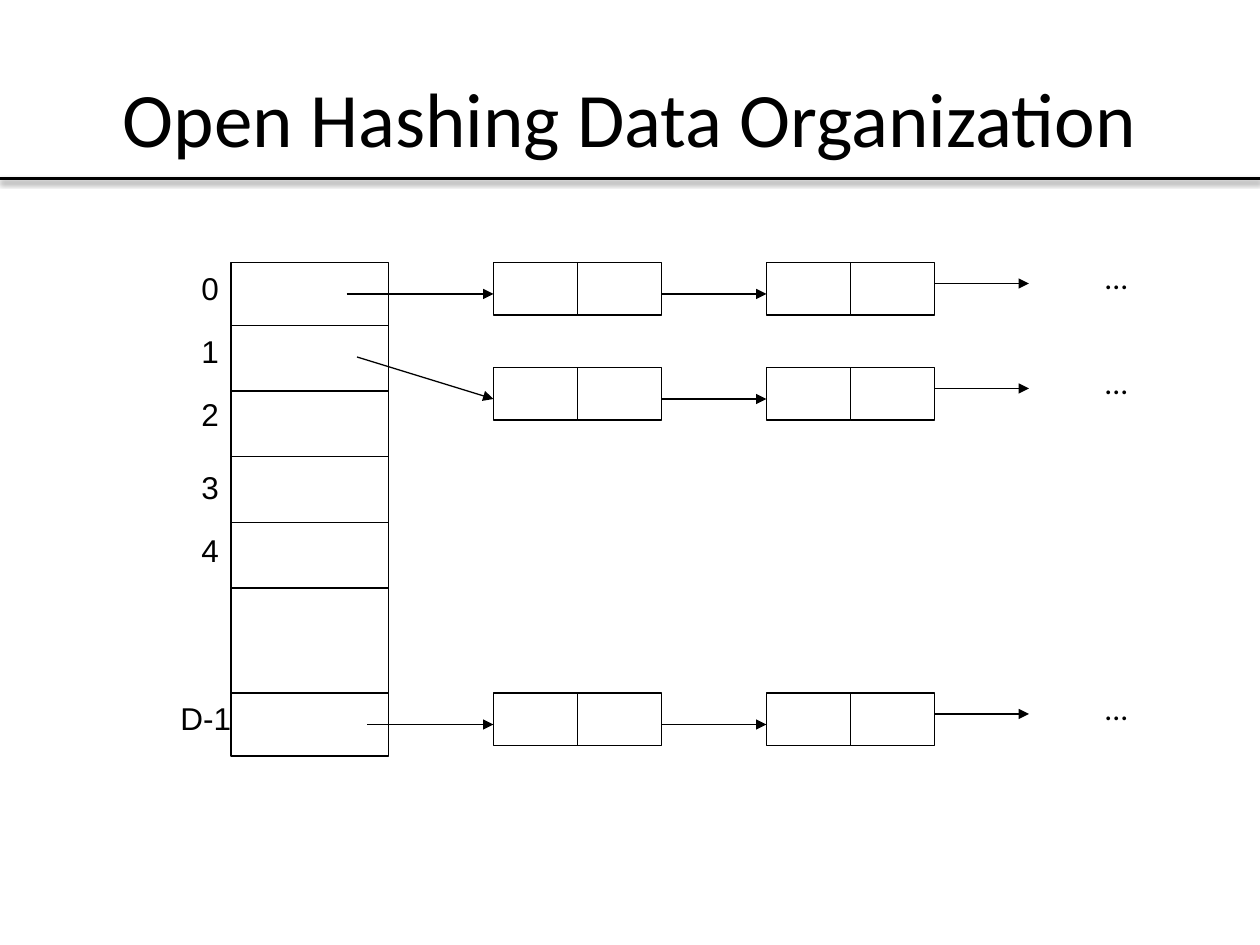
from lxml import etree
from pptx import Presentation
from pptx.dml.color import RGBColor
from pptx.enum.shapes import MSO_CONNECTOR, MSO_SHAPE
from pptx.enum.text import MSO_ANCHOR, MSO_AUTO_SIZE, PP_ALIGN
from pptx.oxml.ns import qn
from pptx.util import Pt

STRAIGHT = MSO_CONNECTOR.STRAIGHT
RECTANGLE = MSO_SHAPE.RECTANGLE
MIDDLE = MSO_ANCHOR.MIDDLE
GROW = MSO_AUTO_SIZE.SHAPE_TO_FIT_TEXT
CENTER = PP_ALIGN.CENTER

COLORS = {"ink": "000000"}
TITLE_ONLY = 5

TABLE_LEFT, TABLE_TOP, TABLE_WIDTH, TABLE_HEIGHT = 132, 150, 90, 282
DIVIDERS = [186 + 37.5 * step for step in range(5)] + [396]
LABELS = [("0", 108, 150, 25), ("1", 108, 186, 25), ("2", 108, 222, 25),
          ("3", 108, 264, 25), ("4", 108, 300, 25), ("D-1", 96, 396, 45)]
CELL_WIDTH, CELL_HEIGHT = 48, 30
NODE_LEFTS = (282, 438)
CHAINS = [(150, 198, 168), (210, 204, 204), (396, 210, 414)]


class Painter:
    ink = RGBColor.from_string(COLORS["ink"])
    thin = 0.75

    def __init__(self, page):
        self.page = page

    def style_font(self, para, name, size):
        para.font.name = name
        para.font.size = Pt(size)
        para.font.color.rgb = self.ink

    def title(self, text, left, top, width, height):
        box = self.page.shapes.title
        box.left, box.top, box.width, box.height = map(Pt, (left, top, width, height))
        box.text_frame.text = text
        box.text_frame.vertical_anchor = MIDDLE
        para = box.text_frame.paragraphs[0]
        para.alignment = CENTER
        self.style_font(para, "Calibri", 44)

    def text(self, text, left, top, width, height, font):
        box = self.page.shapes.add_textbox(*map(Pt, (left, top, width, height)))
        frame = box.text_frame
        frame.text = text
        frame.word_wrap = False
        frame.auto_size = GROW
        self.style_font(frame.paragraphs[0], font, 18)

    def rectangle(self, left, top, width, height):
        box = self.page.shapes.add_shape(RECTANGLE, *map(Pt, (left, top, width, height)))
        box.shadow.inherit = False
        box.fill.background()
        box.line.color.rgb = self.ink
        box.line.width = Pt(self.thin)

    def line(self, start_x, start_y, end_x, end_y, width=thin):
        line = self.page.shapes.add_connector(
            STRAIGHT, *map(Pt, (start_x, start_y, end_x, end_y)))
        line.line.color.rgb = self.ink
        line.line.width = Pt(width)
        etree.SubElement(line._element.spPr, qn("a:effectLst"))
        return line

    def arrow(self, start_x, start_y, end_x, end_y):
        line = self.line(start_x, start_y, end_x, end_y)
        outline = line._element.spPr.find(qn("a:ln"))
        etree.SubElement(outline, qn("a:tailEnd"), type="triangle")

    def shadowed_line(self, start_x, start_y, end_x, end_y, width):
        line = self.line(start_x, start_y, end_x, end_y, width)
        effects = line._element.spPr.find(qn("a:effectLst"))
        shadow = etree.SubElement(effects, qn("a:outerShdw"), blurRad=str(Pt(3.1)),
                                  dist=str(Pt(1.6)), dir="5400000", rotWithShape="0")
        color = etree.SubElement(shadow, qn("a:srgbClr"), val=COLORS["ink"])
        etree.SubElement(color, qn("a:alpha"), val="38000")

    def node(self, left, top):
        for column in range(2):
            self.rectangle(left + column * CELL_WIDTH, top, CELL_WIDTH, CELL_HEIGHT)

    def chain(self, top, start_x, start_y):
        first, second = NODE_LEFTS
        node_width = 2 * CELL_WIDTH
        link_y = top + 18
        for left in NODE_LEFTS:
            self.node(left, top)
        self.arrow(start_x, start_y, first, link_y)
        self.arrow(first + node_width, link_y, second, link_y)
        self.arrow(second + node_width, top + 12, 588, top + 12)
        self.text("...", 624, top - 6, 32, 36, "Calibri")


def main():
    deck = Presentation()
    deck.slide_width, deck.slide_height = Pt(720), Pt(540)
    painter = Painter(deck.slides.add_slide(deck.slide_layouts[TITLE_ONLY]))

    painter.title("Open Hashing Data Organization", 36, 21.6, 648, 90)
    painter.rectangle(TABLE_LEFT, TABLE_TOP, TABLE_WIDTH, TABLE_HEIGHT)
    for y in DIVIDERS:
        painter.line(TABLE_LEFT, y, TABLE_LEFT + TABLE_WIDTH, y)
    for text, left, top, width in LABELS:
        painter.text(text, left, top, width, 29, "Arial")
    for top, start_x, start_y in CHAINS:
        painter.chain(top, start_x, start_y)
    painter.shadowed_line(0, 102, 720, 102, 2)

    deck.save("out.pptx")


if __name__ == "__main__":
    main()
